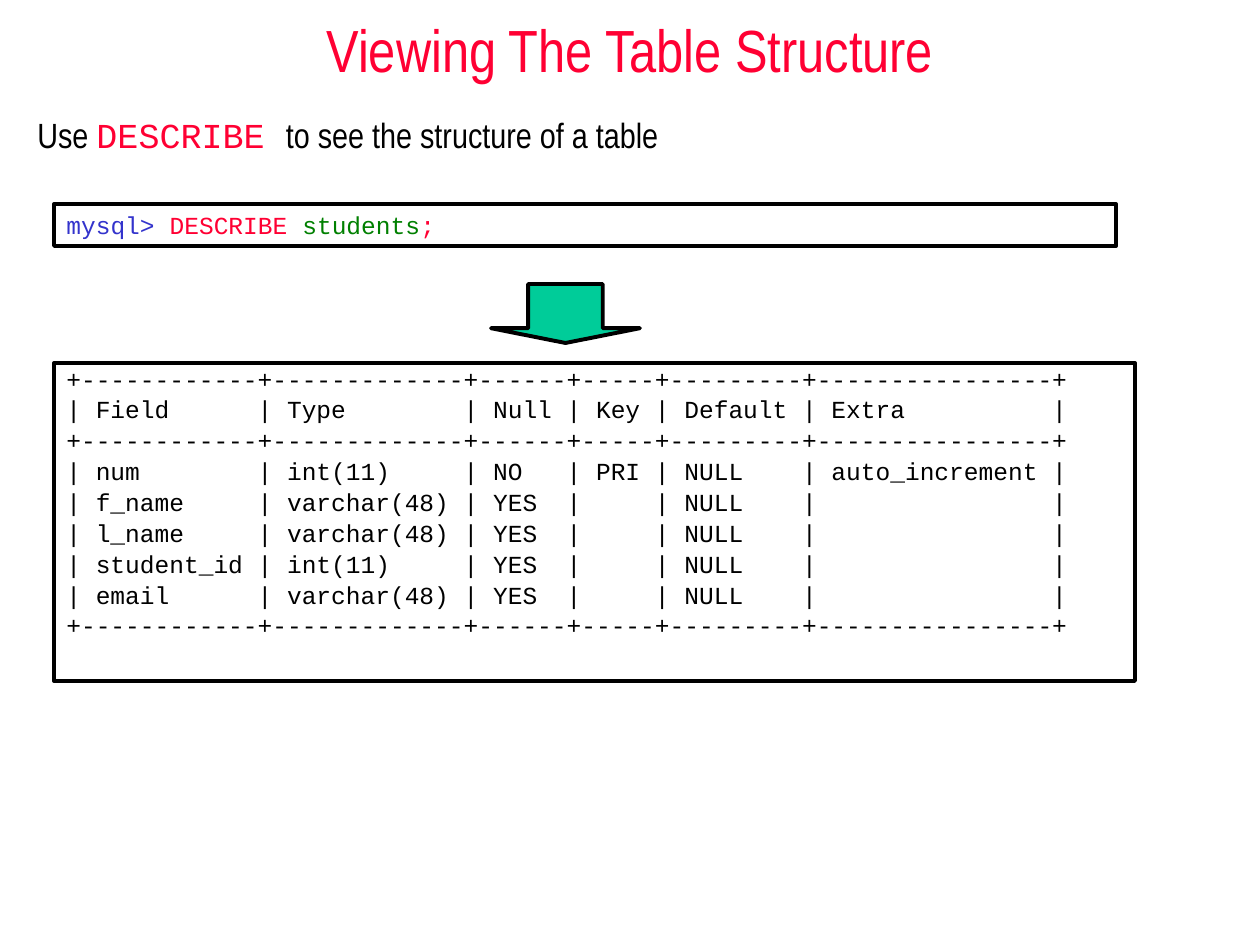
from dataclasses import dataclass

from pptx import Presentation
from pptx import util as u
from pptx.dml.color import RGBColor
from pptx.enum import shapes, text

EMU_PER_PX = 914400 / 126


@dataclass(frozen=True)
class Theme:
    red: str = "FF0033"
    black: str = "000000"
    blue: str = "3333CC"
    green: str = "008000"
    teal: str = "00CC99"
    sans: str = "Arial Narrow"
    mono: str = "Courier New"
    title_size: int = 34
    body_size: int = 20
    code_size: int = 14
    outline: float = 2.25


THEME = Theme()

RULE = "+------------+-------------+------+-----+---------+----------------+"
TABLE_STRUCTURE = [
    RULE,
    "| Field      | Type        | Null | Key | Default | Extra          |",
    RULE,
    "| num        | int(11)     | NO   | PRI | NULL    | auto_increment |",
    "| f_name     | varchar(48) | YES  |     | NULL    |                |",
    "| l_name     | varchar(48) | YES  |     | NULL    |                |",
    "| student_id | int(11)     | YES  |     | NULL    |                |",
    "| email      | varchar(48) | YES  |     | NULL    |                |",
    RULE,
]


def px(length):
    return u.Emu(round(length * EMU_PER_PX))


def box(left, top, width, height):
    return [px(length) for length in (left, top, width, height)]


def write(shape, paragraphs, *, size, font=THEME.sans, color=THEME.black,
          align=text.PP_ALIGN.LEFT, anchor=text.MSO_ANCHOR.TOP,
          line_spacing=1.0, space_before=0, hanging=0):
    frame = shape.text_frame
    frame.word_wrap = True
    frame.auto_size = text.MSO_AUTO_SIZE.NONE
    frame.vertical_anchor = anchor
    for index, runs in enumerate(paragraphs):
        paragraph = frame.add_paragraph() if index else frame.paragraphs[0]
        paragraph.alignment = align
        paragraph.line_spacing = line_spacing
        paragraph.space_before = u.Pt(space_before if index else 0)
        if hanging:
            properties = paragraph._p.get_or_add_pPr()
            properties.set("marL", str(px(hanging)))
            properties.set("indent", str(-px(hanging)))
        for content, *style in runs:
            run = paragraph.add_run()
            run.text = content
            run_color, run_font = style if style else (color, font)
            run.font.size = u.Pt(size)
            run.font.name = run_font
            run.font.color.rgb = RGBColor.from_string(run_color)


def add_outlined(slide, kind, position, fill=None):
    shape = slide.shapes.add_shape(kind, *box(*position))
    shape.shadow.inherit = False
    if fill:
        shape.fill.solid()
        shape.fill.fore_color.rgb = RGBColor.from_string(fill)
    else:
        shape.fill.background()
    shape.line.color.rgb = RGBColor.from_string(THEME.black)
    shape.line.width = u.Pt(THEME.outline)
    return shape


def add_code_box(slide, position, paragraphs, **style):
    shape = add_outlined(slide, shapes.MSO_SHAPE.RECTANGLE, position)
    write(shape, paragraphs, size=THEME.code_size, font=THEME.mono, **style)


def add_title(slide, content):
    title = slide.shapes.title
    title.left, title.top, title.width, title.height = box(0, 0, 1260, 98)
    write(title, [[(content,)]], size=THEME.title_size, color=THEME.red,
          align=text.PP_ALIGN.CENTER, anchor=text.MSO_ANCHOR.MIDDLE)


def add_body(slide, runs):
    body = slide.shapes.add_textbox(*box(25, 115, 1235, 49))
    write(body, [runs], size=THEME.body_size, line_spacing=0.8, hanging=44)


def add_down_arrow(slide):
    arrow = add_outlined(slide, shapes.MSO_SHAPE.DOWN_ARROW,
                         (491, 284, 149, 59), THEME.teal)
    arrow.adjustments[0] = 0.5
    arrow.adjustments[1] = 0.25


def main():
    presentation = Presentation()
    presentation.slide_width, presentation.slide_height = px(1260), px(945)
    slide = presentation.slides.add_slide(presentation.slide_layouts[5])
    add_title(slide, "Viewing The Table Structure")
    add_body(slide, [
        ("Use ",),
        ("DESCRIBE ", THEME.red, THEME.mono),
        ("to see the structure of a table",),
    ])
    add_code_box(slide, (54, 204, 1062, 42), [[
        ("mysql> ", THEME.blue, THEME.mono),
        ("DESCRIBE ", THEME.red, THEME.mono),
        ("students", THEME.green, THEME.mono),
        (";", THEME.red, THEME.mono),
    ]])
    add_code_box(slide, (54, 363, 1081, 318),
                 [[(line,)] for line in TABLE_STRUCTURE],
                 line_spacing=0.8, space_before=4.2)
    add_down_arrow(slide)
    presentation.save("out.pptx")


if __name__ == "__main__":
    main()
